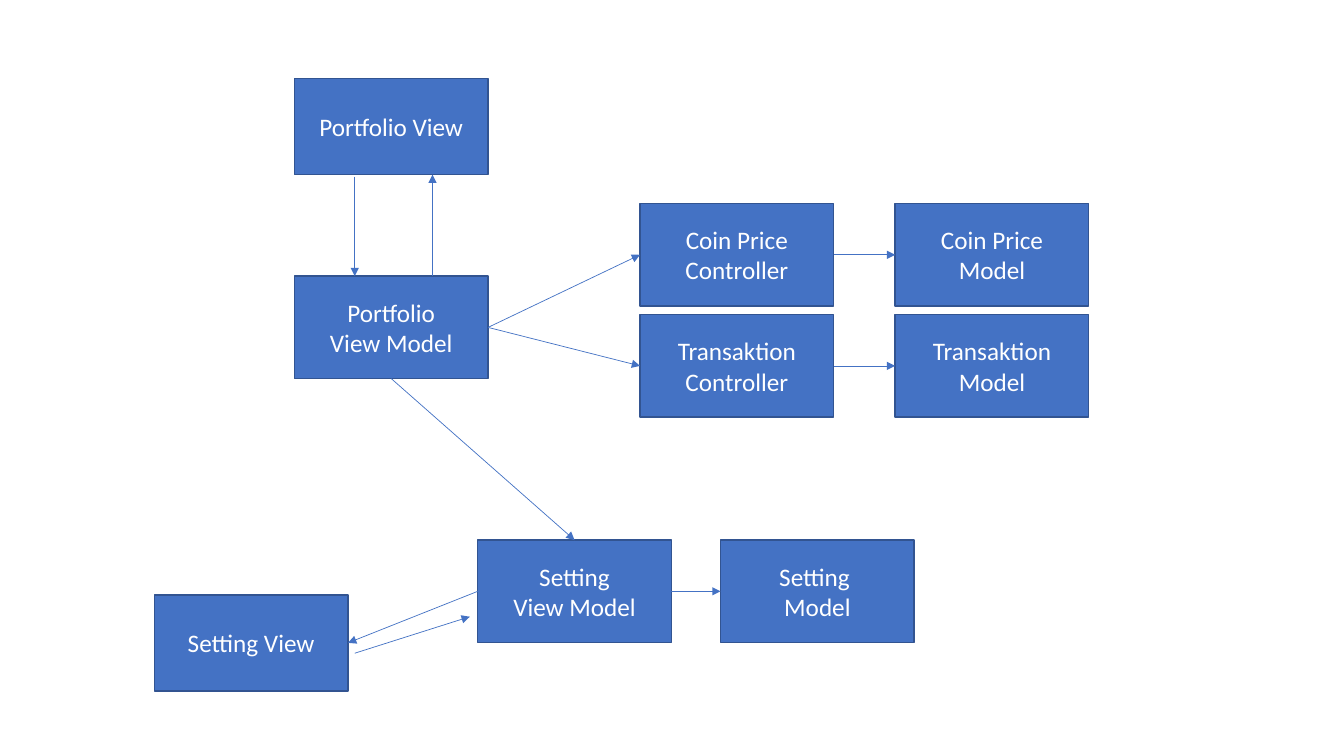
from lxml import etree
from pptx import Presentation
from pptx.dml.color import RGBColor
from pptx.enum import shapes, text
from pptx.oxml import ns
from pptx.util import Cm, Pt

HUES = {"fill": "4472C4", "edge": "325491", "arrow": "4472C4", "text": "FFFFFF"}
WIDE, LOW, HIGH = 4.88, 2.42, 2.58  # box width, view height, model height
TOP, LEFT, BASE, RIGHT = range(4)  # connection sites of a rectangle


def hue(name):
    return RGBColor.from_string(HUES[name])


def node(slide, x, y, tall, *lines):
    box = slide.shapes.add_shape(
        shapes.MSO_SHAPE.RECTANGLE, Cm(x), Cm(y), Cm(WIDE), Cm(tall))
    box.shadow.inherit = False
    box.fill.solid()
    box.fill.fore_color.rgb = hue("fill")
    box.line.color.rgb = hue("edge")
    box.line.width = Pt(1)
    frame = box.text_frame
    frame.word_wrap = True
    frame.vertical_anchor = text.MSO_ANCHOR.MIDDLE
    para = frame.paragraphs[0]
    para.alignment = text.PP_ALIGN.CENTER
    for i, line in enumerate(lines):
        if i:
            para.add_line_break()
        run = para.add_run()
        run.text = line
        run.font.name = "Calibri"
        run.font.size = Pt(18)
        run.font.color.rgb = hue("text")
    return box


def arrow(slide, x1=0, y1=0, x2=0, y2=0):
    line = slide.shapes.add_connector(
        shapes.MSO_CONNECTOR.STRAIGHT, Cm(x1), Cm(y1), Cm(x2), Cm(y2))
    line.line.color.rgb = hue("arrow")
    line.line.width = Pt(0.5)
    etree.SubElement(line.line._get_or_add_ln(), ns.qn("a:tailEnd"), type="triangle")
    etree.SubElement(line._element.spPr, ns.qn("a:effectLst"))
    return line


def link(slide, start, out, end, into):
    line = arrow(slide)
    line.begin_connect(start, out)
    line.end_connect(end, into)


# Portfolio view above its view model, joined both ways
def folio(slide, x, y):
    drop = 4.98
    node(slide, x, y, LOW, "Portfolio View")
    model = node(slide, x, y + drop, HIGH, "Portfolio", "View Model")
    arrow(slide, x + 1.52, y + LOW + 0.05, x + 1.52, y + drop)
    arrow(slide, x + 3.48, y + drop, x + 3.48, y + LOW)
    return model


# Grid of controllers, each leading to its model
def control(slide, x, y):
    rows = [(["Coin Price Controller"], ["Coin Price Model"]),
            (["Transaktion", "Controller"], ["Transaktion", "Model"])]
    heads = []
    for i, (left, right) in enumerate(rows):
        top = y + i * 2.8
        head = node(slide, x, top, HIGH, *left)
        model = node(slide, x + 6.43, top, HIGH, *right)
        link(slide, head, RIGHT, model, LEFT)
        heads.append(head)
    return heads


# Setting view, view model and model
def setting(slide, x, y):
    view = node(slide, x, y + 1.38, LOW, "Setting View")
    mid = node(slide, x + 8.15, y, HIGH, "Setting", "View Model")
    model = node(slide, x + 14.27, y, HIGH, "Setting ", "Model")
    link(slide, mid, RIGHT, model, LEFT)
    link(slide, mid, LEFT, view, RIGHT)
    arrow(slide, x + 5.05, y + 2.85, x + 7.95, y + 1.93)
    return mid


deck = Presentation()
deck.slide_width, deck.slide_height = Cm(33.87), Cm(19.05)
page = deck.slides.add_slide(deck.slide_layouts[6])

hub = folio(page, 7.42, 1.98)
heads = control(page, 16.13, 5.13)
prefs = setting(page, 3.89, 13.61)

# Links from the portfolio view model to the other regions
for head in heads:
    link(page, hub, RIGHT, head, LEFT)
link(page, hub, BASE, prefs, TOP)

deck.save("out.pptx")
